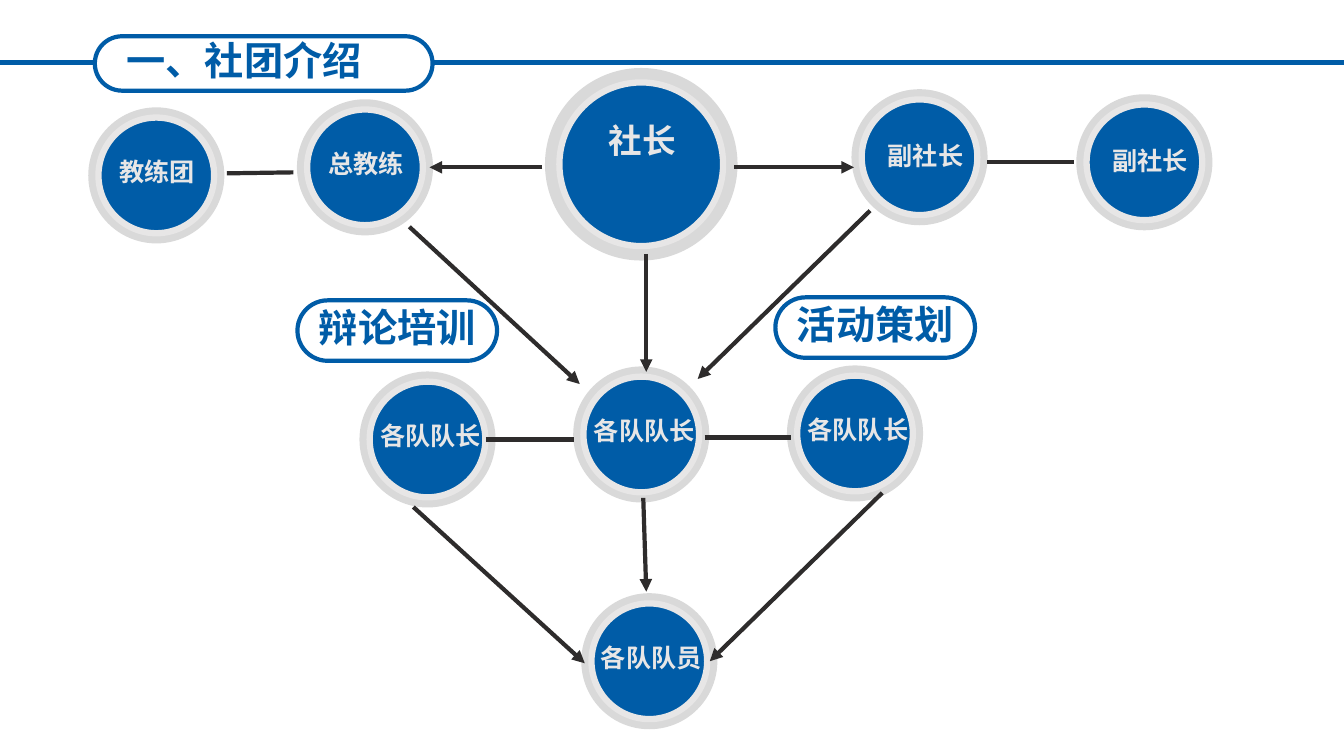
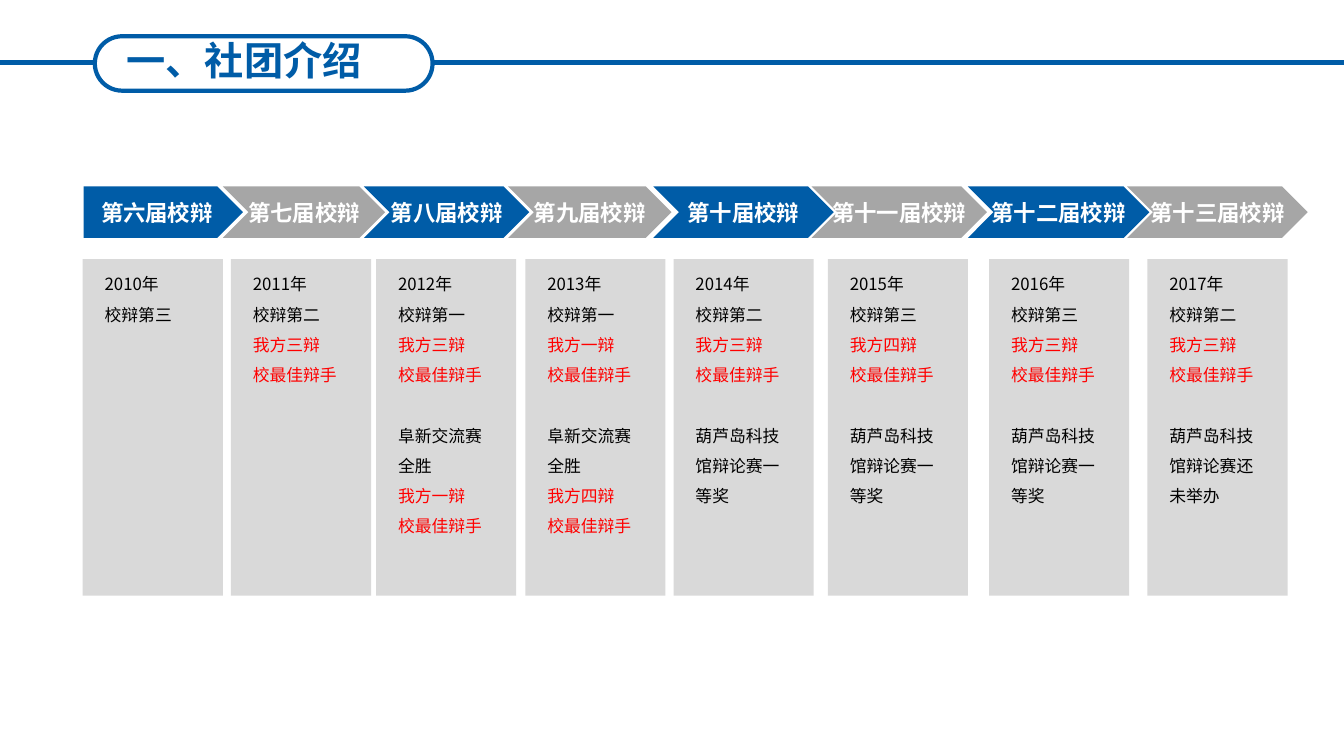
from dataclasses import dataclass
from typing import NamedTuple

from lxml.etree import SubElement
from pptx import Presentation
from pptx.dml.color import RGBColor
from pptx.enum.shapes import MSO_CONNECTOR, MSO_SHAPE
from pptx.enum.text import MSO_ANCHOR, PP_ALIGN
from pptx.oxml.ns import qn
from pptx.util import Inches, Pt


@dataclass(frozen=True)
class Theme:
    font: str = "Noto Sans CJK SC"
    blue: str = "005CA7"
    white: str = "FFFFFF"
    pale: str = "E7E6E6"
    light: str = "D9D9D9"
    gray: str = "A6A6A6"
    ink: str = "2E2C2C"
    black: str = "000000"
    red: str = "FF0000"
    head: int = 28
    chief: int = 24
    name: int = 18
    step: int = 16
    body: int = 12
    rule: float = 3
    ring: float = 4.5
    pitch: float = 21.6


class Disc(NamedTuple):
    text: str
    x: float  # centre
    y: float
    dx: float = 0.01
    dy: float = -0.04
    size: float = 1.35
    type: int = Theme.name


class Link(NamedTuple):
    x1: float
    y1: float
    x2: float
    y2: float
    arrow: bool = True


class Term(NamedTuple):
    title: str
    left: float  # of the step
    width: float
    card: float  # left of the card
    result: tuple[str, ...]
    event: tuple[str, ...] = ()


THEME = Theme()
WIDTH, HEIGHT = 13.33, 7.5
TITLE = "一、社团介绍"
BEST = "校最佳辩手"
CITY = "阜新交流赛全胜"
PRIZE = "葫芦岛科技馆辩论赛一等奖"

DISCS = [
    Disc("社长", 6.36, 1.63, dy=-0.24, size=1.91, type=THEME.chief),
    Disc("总教练", 3.62, 1.66),
    Disc("副社长", 9.12, 1.56, dx=0.06, dy=-0.02),
    Disc("教练团", 1.55, 1.74),
    Disc("副社长", 11.35, 1.61, dx=0.06, dy=-0.02),
    Disc("各队队长", 4.24, 4.36, dx=0.03),
    Disc("各队队长", 6.36, 4.31, dx=0.03),
    Disc("各队队长", 8.48, 4.3, dx=0.03),
    Disc("各队队员", 6.44, 6.56, dx=0.02),
]
LINKS = [
    Link(2.25, 1.72, 2.91, 1.71, False),
    Link(9.79, 1.61, 10.65, 1.61, False),
    Link(4.82, 4.36, 5.69, 4.36, False),
    Link(6.99, 4.34, 7.85, 4.34, False),
    Link(5.38, 1.66, 4.26, 1.66),
    Link(7.28, 1.66, 8.47, 1.66),
    Link(4.06, 2.25, 5.75, 3.81),
    Link(6.41, 2.52, 6.41, 3.69),
    Link(8.63, 2.09, 6.92, 3.76),
    Link(4.1, 5.03, 5.8, 6.58),
    Link(6.38, 4.94, 6.41, 5.87),
    Link(8.75, 4.89, 7.04, 6.56),
]
TERMS = [
    Term("第六届校辩", 0.83, 1.58, 0.82, ("2010年", "校辩第三")),
    Term("第七届校辩", 2.21, 1.61, 2.29,
         ("2011年", "校辩第二", "我方三辩", BEST)),
    Term("第八届校辩", 3.61, 1.64, 3.73,
         ("2012年", "校辩第一", "我方三辩", BEST), (CITY, "我方一辩", BEST)),
    Term("第九届校辩", 5.04, 1.62, 5.21,
         ("2013年", "校辩第一", "我方一辩", BEST), (CITY, "我方四辩", BEST)),
    Term("第十届校辩", 6.48, 1.79, 6.68,
         ("2014年", "校辩第二", "我方三辩", BEST), (PRIZE,)),
    Term("第十一届校辩", 8.05, 1.74, 8.21,
         ("2015年", "校辩第三", "我方四辩", BEST), (PRIZE,)),
    Term("第十二届校辩", 9.6, 1.8, 9.81,
         ("2016年", "校辩第三", "我方三辩", BEST), (PRIZE,)),
    Term("第十三届校辩", 11.18, 1.79, 11.38,
         ("2017年", "校辩第二", "我方三辩", BEST),
         ("葫芦岛科技馆辩论赛还未举办",)),
]


def tint(code: str) -> RGBColor:
    return RGBColor.from_string(code)


def style(para, size: int, color: str, bold: bool = True) -> None:
    for run in para.runs:
        font = run.font
        font.size, font.bold, font.name = Pt(size), bold, THEME.font
        font.color.rgb = tint(color)
        SubElement(font._element, qn("a:ea"), typeface=THEME.font)


def write(frame, text: str, size: int, color: str, wrap: bool = False) -> None:
    """Put one bold, centred line in the middle of a frame."""
    frame.text = text
    frame.word_wrap = wrap
    frame.vertical_anchor = MSO_ANCHOR.MIDDLE
    para = frame.paragraphs[0]
    para.alignment = PP_ALIGN.CENTER
    style(para, size, color)


def block(slide, kind, x: float, y: float, w: float, h: float,
          fill: str | None = None, line: str | None = None, weight: float = 0):
    shape = slide.shapes.add_shape(
        kind, Inches(x), Inches(y), Inches(w), Inches(h))
    shape.shadow.inherit = False
    if fill:
        shape.fill.solid()
        shape.fill.fore_color.rgb = tint(fill)
    else:
        shape.fill.background()
    if line:
        shape.line.color.rgb = tint(line)
        shape.line.width = Pt(weight)
    else:
        shape.line.fill.background()
    return shape


def join(slide, link: Link, color: str) -> None:
    line = slide.shapes.add_connector(
        MSO_CONNECTOR.STRAIGHT, Inches(link.x1), Inches(link.y1),
        Inches(link.x2), Inches(link.y2))
    line.line.color.rgb = tint(color)
    line.line.width = Pt(THEME.rule)
    if link.arrow:
        SubElement(line.line._get_or_add_ln(), qn("a:tailEnd"),
                   type="triangle")
    SubElement(line._element.spPr, qn("a:effectLst"))


def pill(slide, text: str, x: float, y: float, w: float, h: float,
         right: float = 0) -> None:
    shape = block(slide, MSO_SHAPE.ROUNDED_RECTANGLE, x, y, w, h,
                  line=THEME.blue, weight=THEME.rule)
    shape.adjustments[0] = 0.5
    frame = shape.text_frame
    frame.margin_left = frame.margin_top = 0
    frame.margin_right, frame.margin_bottom = Inches(right), Inches(0.07)
    write(frame, text, THEME.head, THEME.blue, wrap=True)


def page(deck):
    """Add a slide with the title band."""
    slide = deck.slides.add_slide(deck.slide_layouts[6])
    for x1, x2 in ((4.3, WIDTH), (0, 0.94)):
        join(slide, Link(x1, 0.62, x2, 0.62, False), THEME.blue)
    pill(slide, TITLE, 0.94, 0.36, 3.35, 0.54, right=0.39)
    return slide


def draw(slide, disc: Disc) -> None:
    layers = ((disc.size, THEME.light, None),
              (disc.size * 0.85, THEME.blue, THEME.pale))
    for size, fill, line in layers:
        block(slide, MSO_SHAPE.OVAL, disc.x - size / 2, disc.y - size / 2,
              size, size, fill, line, THEME.ring)
    w, h = 1.3, 0.5
    box = slide.shapes.add_textbox(
        Inches(disc.x + disc.dx - w / 2), Inches(disc.y + disc.dy - h / 2),
        Inches(w), Inches(h))
    write(box.text_frame, disc.text, disc.type, THEME.pale, wrap=True)


def card(slide, term: Term) -> None:
    top, high = 2.57, 3.34
    block(slide, MSO_SHAPE.RECTANGLE, term.card, top, 1.39, high, THEME.light)
    box = slide.shapes.add_textbox(
        Inches(term.card + 0.12), Inches(top), Inches(1.16), Inches(high))
    frame = box.text_frame
    frame.text = "\n".join(term.result + term.event)
    frame.word_wrap = True
    for i, para in enumerate(frame.paragraphs):
        para.line_spacing = Pt(THEME.pitch)
        if i == len(term.result):
            para.space_before = Pt(THEME.pitch)
        award = para.text.startswith("我方") or para.text == BEST
        style(para, THEME.body, THEME.red if award else THEME.black, False)


def team(deck) -> None:
    slide = page(deck)
    for disc in DISCS:
        draw(slide, disc)
    for link in LINKS:
        join(slide, link, THEME.ink)
    pill(slide, "辩论培训", 2.95, 2.98, 1.98, 0.6)
    pill(slide, "活动策划", 7.69, 2.95, 1.98, 0.6)


def record(deck) -> None:
    slide = page(deck)
    for i, term in enumerate(TERMS):
        kind = MSO_SHAPE.CHEVRON if i else MSO_SHAPE.PENTAGON
        fill = THEME.gray if i % 2 else THEME.blue
        step = block(slide, kind, term.left, 1.85, term.width, 0.51, fill)
        write(step.text_frame, term.title, THEME.step, THEME.white)
        card(slide, term)


def main() -> None:
    deck = Presentation()
    deck.slide_width, deck.slide_height = Inches(WIDTH), Inches(HEIGHT)
    team(deck)
    record(deck)
    deck.save("out.pptx")


if __name__ == "__main__":
    main()
